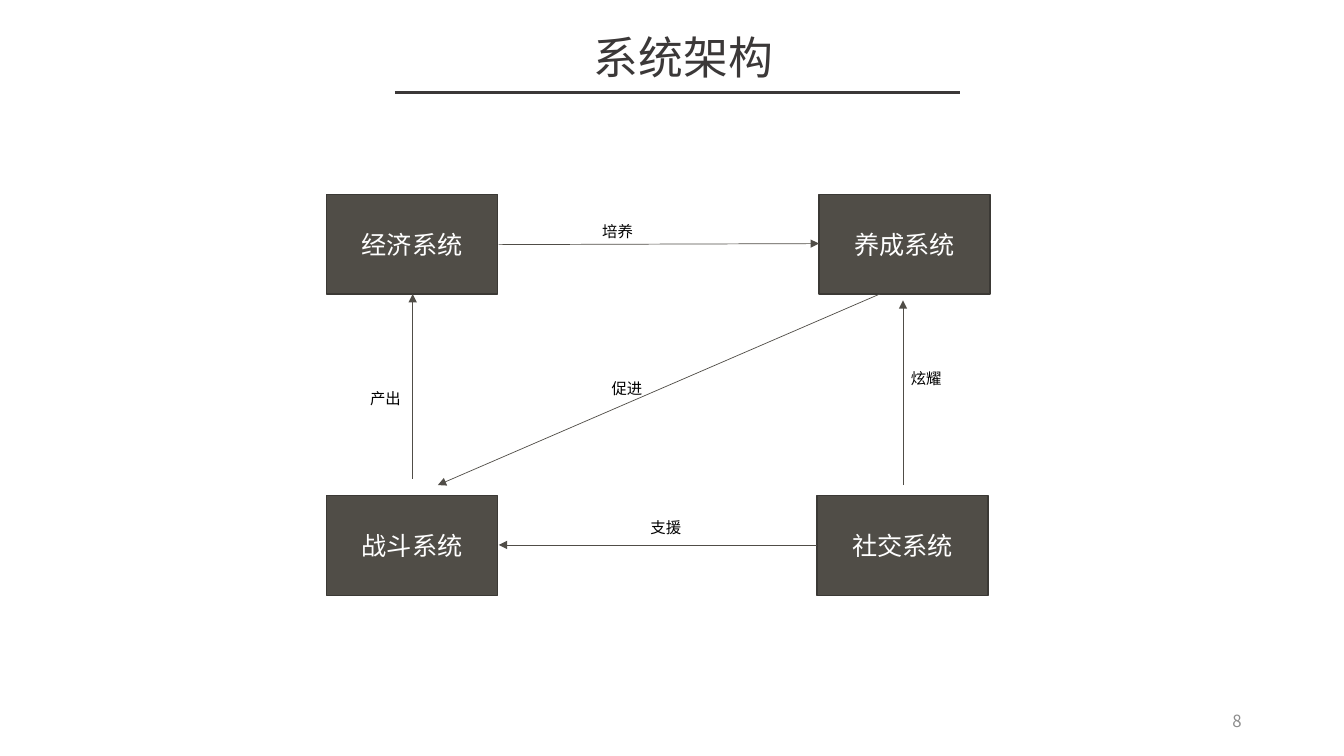
from lxml.etree import SubElement
from pptx import Presentation
from pptx.dml.color import RGBColor
from pptx.enum.shapes import MSO_CONNECTOR, MSO_SHAPE
from pptx.enum.text import MSO_ANCHOR, MSO_AUTO_SIZE, PP_ALIGN
from pptx.oxml.ns import qn
from pptx.util import Pt

PX = 9525  # EMU per pixel, 96 pixels to the inch
FONT = "Noto Sans CJK SC"
COLORS = {
    "box": "504D47",
    "border": "3B3935",
    "title": "3B3838",
    "number": "8C8C8C",
    "white": "FFFFFF",
    "black": "000000",
}
BOX_W, BOX_H = 163, 95
LABEL_W, LABEL_H = 49, 28


def write(shape, text, size, color, align=PP_ALIGN.LEFT, anchor=MSO_ANCHOR.TOP, wrap=True):
    """Fill a shape with one paragraph, with the font set for Latin and East Asian text."""
    frame = shape.text_frame
    frame.text = text
    frame.word_wrap = wrap
    frame.auto_size = MSO_AUTO_SIZE.NONE
    frame.vertical_anchor = anchor
    paragraph = frame.paragraphs[0]
    paragraph.alignment = align
    font = paragraph.font
    font.size = Pt(size)
    font.color.rgb = RGBColor.from_string(COLORS[color])
    font.name = FONT
    SubElement(font._element, qn("a:ea"), typeface=FONT)


def draw_line(start, end, color, width, arrow=True):
    points = [value * PX for value in (*start, *end)]
    connector = slide.shapes.add_connector(MSO_CONNECTOR.STRAIGHT, *points)
    connector.line.color.rgb = RGBColor.from_string(COLORS[color])
    connector.line.width = Pt(width)
    if arrow:
        SubElement(connector.line._get_or_add_ln(), qn("a:tailEnd"), type="triangle")
    SubElement(connector._element.spPr, qn("a:effectLst"))


presentation = Presentation()
presentation.slide_width = 1280 * PX
presentation.slide_height = 720 * PX
slide = presentation.slides.add_slide(presentation.slide_layouts[5])

title = slide.shapes.title
title.left, title.top, title.width, title.height = (v * PX for v in (360, 23, 582, 61))
write(title, "系统架构", 32, "title", PP_ALIGN.CENTER)
draw_line((376, 88), (914, 88), "title", 2, arrow=False)

systems = [
    ("经济系统", 311, 185),
    ("养成系统", 780, 185),
    ("战斗系统", 311, 472),
    ("社交系统", 778, 472),
]
for name, left, top in systems:
    system = slide.shapes.add_shape(
        MSO_SHAPE.RECTANGLE, left * PX, top * PX, BOX_W * PX, BOX_H * PX
    )
    system.shadow.inherit = False
    system.fill.solid()
    system.fill.fore_color.rgb = RGBColor.from_string(COLORS["box"])
    system.line.color.rgb = RGBColor.from_string(COLORS["border"])
    system.line.width = Pt(1)
    write(system, name, 18, "white", PP_ALIGN.CENTER, MSO_ANCHOR.MIDDLE)

# Each relation: wording, its left and top, arrow start, arrow end
relations = [
    ("支援", 610, 489, (778, 519), (475, 519)),
    ("促进", 573, 356, (838, 280), (417, 462)),
    ("培养", 564, 207, (475, 233), (780, 232)),
    ("炫耀", 858, 347, (860, 462), (860, 286)),
    ("产出", 343, 366, (393, 456), (393, 280)),
]
for relation, left, top, start, end in relations:
    draw_line(start, end, "box", 0.5)
    label = slide.shapes.add_textbox(left * PX, top * PX, LABEL_W * PX, LABEL_H * PX)
    write(label, relation, 11, "black", wrap=False)

page_number = slide.shapes.add_textbox(904 * PX, 667 * PX, 288 * PX, 38 * PX)
write(page_number, "8", 12, "number", PP_ALIGN.RIGHT, MSO_ANCHOR.MIDDLE)

presentation.save("out.pptx")
